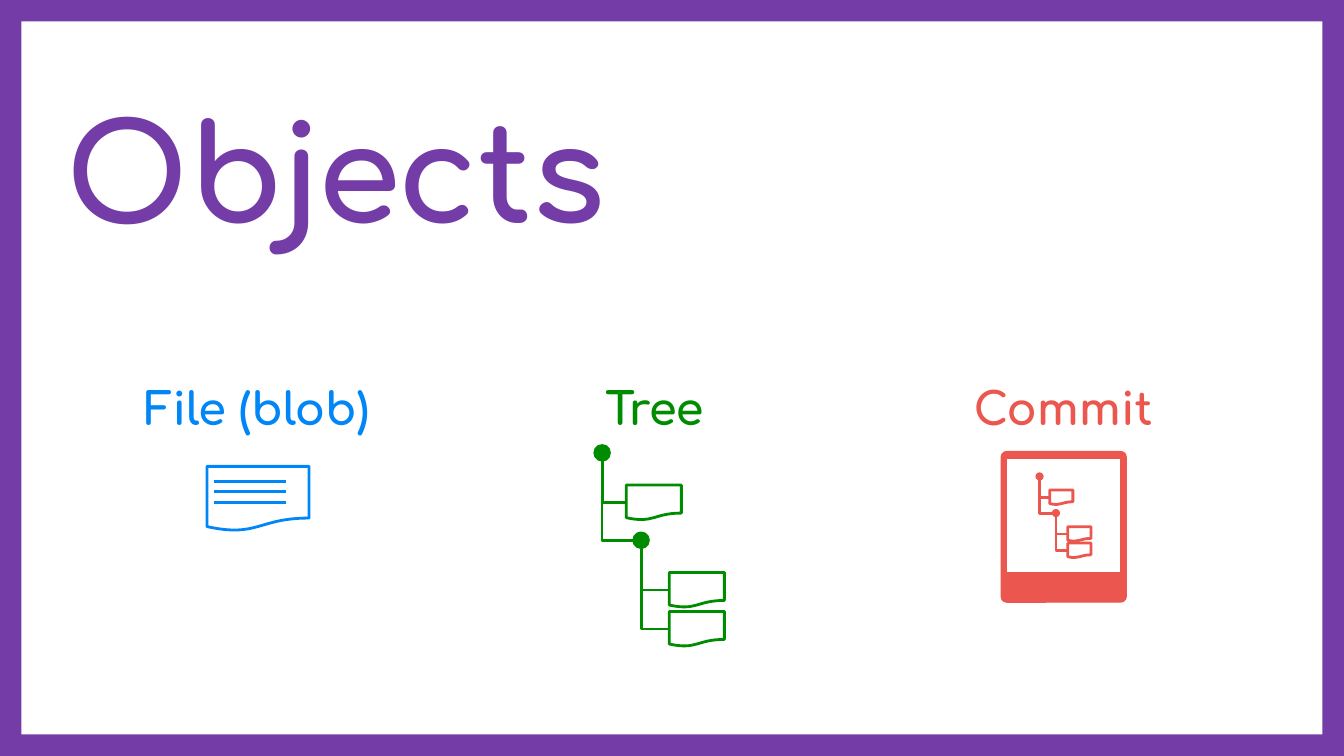
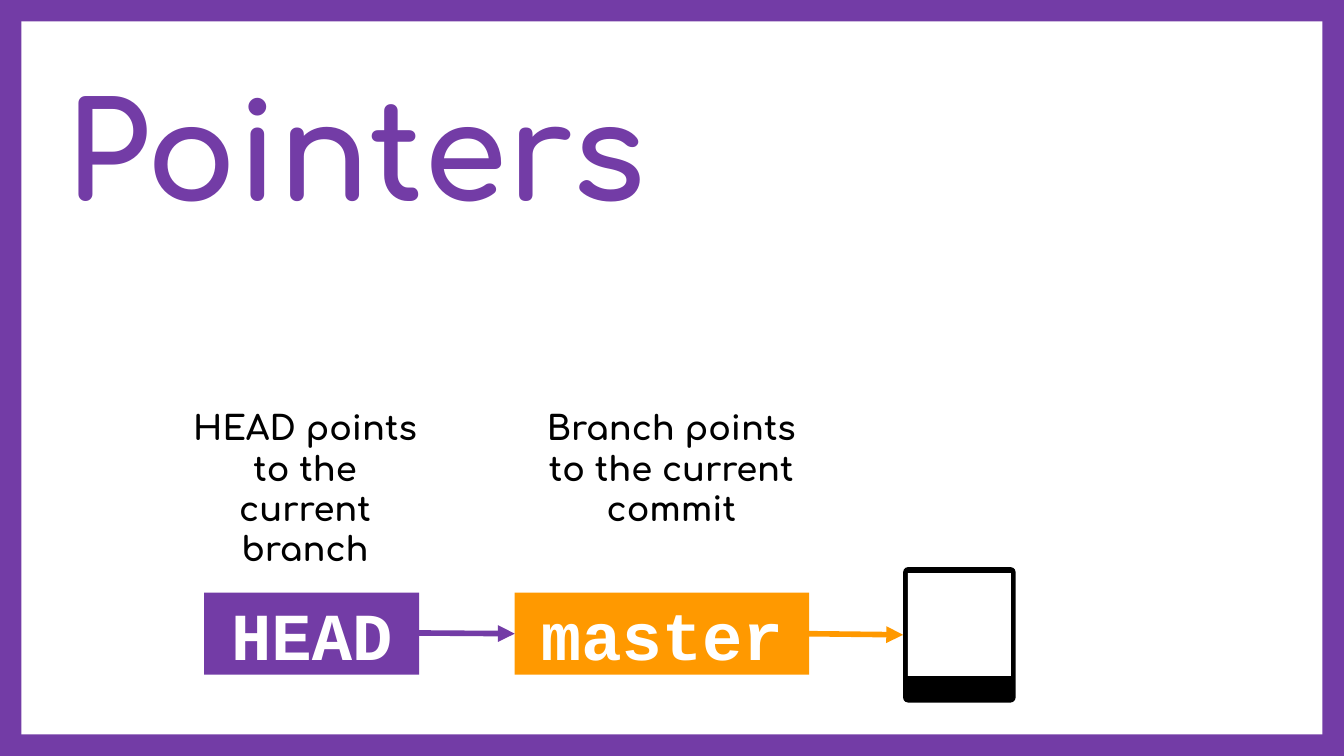
from lxml.etree import SubElement
from pptx import Presentation
from pptx.dml.color import RGBColor
from pptx.enum.shapes import MSO_CONNECTOR, MSO_SHAPE
from pptx.enum.text import MSO_ANCHOR, PP_ALIGN
from pptx.oxml.ns import qn
from pptx.util import Emu, Pt

PX = 9144  # 100 px to the inch
WIDTH = 1000
HEIGHT = WIDTH * 9 / 16
FRAME = 16
INSET = 10

PURPLE = RGBColor(0x73, 0x3C, 0xA6)
BLUE = RGBColor(0x00, 0x86, 0xF7)
GREEN = RGBColor(0x00, 0x8C, 0x00)
RED = RGBColor(0xEB, 0x57, 0x4F)
ORANGE = RGBColor(0xFF, 0x99, 0x00)
WHITE = RGBColor(0xFF, 0xFF, 0xFF)
BLACK = RGBColor(0x00, 0x00, 0x00)

BODY_FONT = "Comfortaa"
CODE_FONT = "Courier New"


def px(*lengths):
    return [Emu(round(length * PX)) for length in lengths]


class Deck:
    def __init__(self):
        self.prs = Presentation()
        self.prs.slide_width, self.prs.slide_height = px(WIDTH, HEIGHT)
        backdrop = self.prs.slide_master.background.fill
        backdrop.solid()
        backdrop.fore_color.rgb = PURPLE

    def new_slide(self, title, title_top):
        self.slide = self.prs.slides.add_slide(self.prs.slide_layouts[6])
        self.shapes = self.slide.shapes
        self.shape(MSO_SHAPE.RECTANGLE, FRAME, FRAME,
                   WIDTH - 2 * FRAME, HEIGHT - 2 * FRAME, WHITE)
        self.text(title, 39, title_top, 961, 136, 72, PURPLE,
                  PP_ALIGN.LEFT, MSO_ANCHOR.MIDDLE)

    def start_group(self):
        """Put the elements that follow into a new group."""
        self.shapes = self.slide.shapes.add_group_shape().shapes

    def end_group(self):
        self.shapes = self.slide.shapes

    def shape(self, preset, x, y, w, h, fill, line=None, weight=0.75):
        shape = self.shapes.add_shape(preset, *px(x, y, w, h))
        shape.shadow.inherit = False
        shape.fill.solid()
        shape.fill.fore_color.rgb = fill
        if line is None:
            shape.line.fill.background()
        else:
            shape.line.color.rgb = line
            shape.line.width = Pt(weight)
        return shape

    def set_text(self, shape, wording, size, color, font, align, anchor):
        frame = shape.text_frame
        frame.word_wrap = True
        frame.vertical_anchor = anchor
        (frame.margin_left, frame.margin_top,
         frame.margin_right, frame.margin_bottom) = px(*[INSET] * 4)
        paragraph = frame.paragraphs[0]
        paragraph.text = wording
        paragraph.alignment = align
        paragraph.font.name = font
        paragraph.font.size = Pt(size)
        paragraph.font.bold = True
        paragraph.font.color.rgb = color

    def text(self, wording, x, y, w, h, size, color,
             align=PP_ALIGN.CENTER, anchor=MSO_ANCHOR.TOP):
        box = self.shapes.add_textbox(*px(x, y, w, h))
        self.set_text(box, wording, size, color, BODY_FONT, align, anchor)

    def ref_box(self, name, x, w, fill):
        box = self.shape(MSO_SHAPE.RECTANGLE, x, 441, w, 61, fill)
        self.set_text(box, name, 36, WHITE, CODE_FONT,
                      PP_ALIGN.CENTER, MSO_ANCHOR.MIDDLE)
        return box

    def line(self, x1, y1, x2, y2, color, weight=1.5,
             kind=MSO_CONNECTOR.STRAIGHT):
        line = self.shapes.add_connector(kind, *px(x1, y1, x2, y2))
        line.line.color.rgb = color
        line.line.width = Pt(weight)
        SubElement(line._element.spPr, qn("a:effectLst"))
        return line

    def arrow(self, x1, y1, target, color):
        """Arrow to the middle of the target's left side."""
        arrow = self.line(x1, y1, x1, y1, color, 3)
        arrow.end_connect(target, 1)
        outline = arrow._element.spPr.find(qn("a:ln"))
        SubElement(outline, qn("a:tailEnd"), type="triangle")

    def branch(self, x1, y1, x2, y2, color):
        """Line that runs down, then right: a one-bend connector turned 270 degrees."""
        mid_x, mid_y = (x1 + x2) / 2, (y1 + y2) / 2
        half_w, half_h = (x2 - x1) / 2, (y2 - y1) / 2
        bend = self.line(mid_x + half_h, mid_y - half_w,
                         mid_x - half_h, mid_y + half_w,
                         color, kind=MSO_CONNECTOR.ELBOW)
        properties = bend._element.spPr
        properties.find(qn("a:xfrm")).set("rot", str(270 * 60000))
        properties.find(qn("a:prstGeom")).set("prst", "bentConnector2")

    def document(self, x, y, w, h, color):
        self.shape(MSO_SHAPE.FLOWCHART_DOCUMENT, x, y, w, h, WHITE, color, 1.5)

    def tree(self, x, y, color, scale=1):
        """Root dot with one file and a subtree of two files."""
        dot, file_w, file_h = 12 * scale, 41 * scale, 26 * scale
        root = (x, y)
        subtree = (x + 29 * scale, y + 65 * scale)
        files = [(root, 24, 30), (subtree, 56, 95), (subtree, 56, 124)]

        def node(at):
            self.shape(MSO_SHAPE.OVAL, *at, dot, dot, color, color)

        def link(parent, end_x, end_y):
            self.branch(parent[0] + dot / 2, parent[1] + dot, end_x, end_y, color)

        node(root)
        for parent, dx, dy in files:
            file_x, file_y = x + dx * scale, y + dy * scale
            self.document(file_x, file_y, file_w, file_h, color)
            link(parent, file_x, file_y + file_h / 2)
        link(root, subtree[0], subtree[1] + dot / 2)
        node(subtree)

    def commit(self, x, y, color, outline=None, scale=1):
        card = self.shape(MSO_SHAPE.ROUNDED_RECTANGLE, x, y,
                          93 * scale, 112 * scale, color, outline)
        card.adjustments[0] = 0.045
        self.shape(MSO_SHAPE.RECTANGLE, x + 4 * scale, y + 5 * scale,
                   85 * scale, 85 * scale, WHITE, outline)
        return card


def objects_slide(deck):
    deck.new_slide("Objects", 58)

    def start_kind(name, x, color):
        deck.start_group()
        deck.text(name, x, 273, 262, 69, 24, color)

    start_kind("File (blob)", 60, BLUE)
    deck.document(154, 347, 76, 48, BLUE)
    for y in range(358, 375, 8):
        deck.line(159, y, 213, y, BLUE)

    start_kind("Tree", 356, GREEN)
    deck.tree(442, 331, GREEN)

    start_kind("Commit", 660, RED)
    deck.commit(745, 336, RED, RED)
    deck.tree(771, 352, RED, 0.42)


def pointers_slide(deck):
    deck.new_slide("Pointers", 42)
    deck.start_group()
    commit = deck.commit(672, 422, BLACK, scale=0.9)
    deck.end_group()

    # Each arrow starts behind the box it leaves.
    deck.arrow(472, 470, commit, ORANGE)
    master = deck.ref_box("master", 383, 219, ORANGE)
    deck.arrow(181, 470, master, PURPLE)
    deck.ref_box("HEAD", 152, 160, PURPLE)

    deck.text("HEAD points to the current branch", 127, 293, 200, 114, 18, BLACK)
    deck.text("Branch points to the current commit", 390, 293, 219, 69, 18, BLACK)


def main():
    deck = Deck()
    objects_slide(deck)
    pointers_slide(deck)
    deck.prs.save("out.pptx")


if __name__ == "__main__":
    main()
